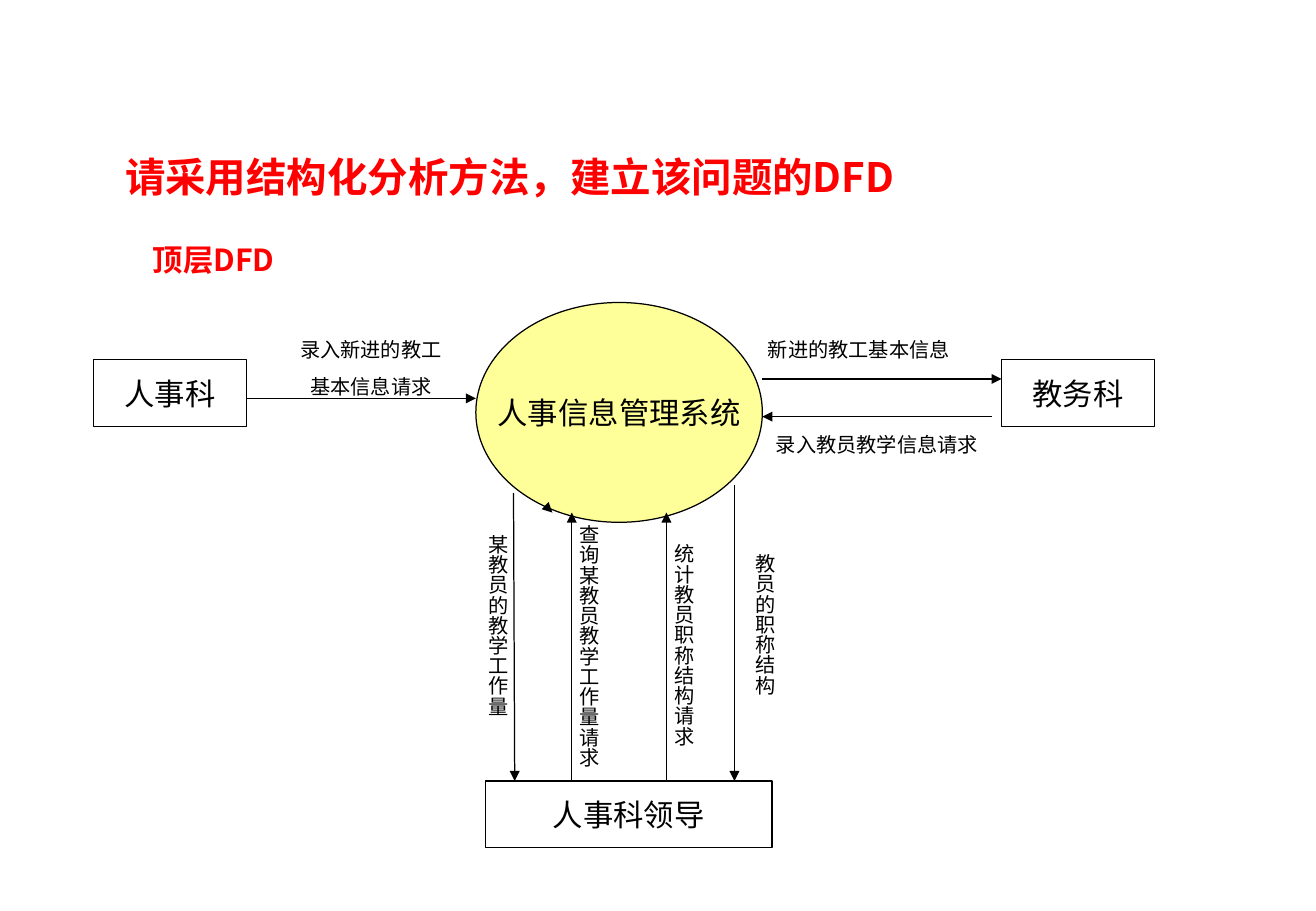
"""Build the slide with the top-level data flow diagram of a personnel system."""
from dataclasses import dataclass

from lxml.etree import SubElement
from pptx import Presentation
from pptx.dml.color import RGBColor
from pptx.enum.shapes import MSO_CONNECTOR, MSO_SHAPE
from pptx.enum.text import MSO_ANCHOR, MSO_AUTO_SIZE, PP_ALIGN
from pptx.oxml.ns import qn
from pptx.util import Emu, Pt

EMU_PER_PX = 9144


@dataclass(frozen=True)
class Theme:
    font: str = "Noto Sans CJK SC"
    heading: RGBColor = RGBColor(0xFF, 0x00, 0x00)
    ink: RGBColor = RGBColor(0x00, 0x00, 0x00)
    entity: RGBColor = RGBColor(0xFF, 0xFF, 0xFF)
    process: RGBColor = RGBColor(0xFF, 0xFF, 0x99)
    title_size: int = 24
    node_size: int = 18
    label_size: int = 12
    paragraph_gap: float = 7.5
    line_width: float = 0.75


THEME = Theme()


@dataclass(frozen=True)
class Box:
    left: int
    top: int
    width: int
    height: int

    def emu(self) -> tuple[Emu, Emu, Emu, Emu]:
        return px(self.left), px(self.top), px(self.width), px(self.height)


@dataclass(frozen=True)
class Node:
    text: str
    box: Box
    kind: MSO_SHAPE = MSO_SHAPE.RECTANGLE
    fill: RGBColor = THEME.entity


@dataclass(frozen=True)
class Flow:
    start: tuple[int, int]
    end: tuple[int, int]


@dataclass(frozen=True)
class Label:
    lines: tuple[str, ...]
    box: Box
    vertical: bool = False


TITLE = "请采用结构化分析方法，建立该问题的DFD"
TITLE_BOX = Box(93, 62, 969, 109)
LEVEL = "顶层DFD"
LEVEL_BOX = Box(116, 194, 126, 70)

NODES = (
    Node("人事信息管理系统", Box(392, 249, 236, 181), MSO_SHAPE.OVAL, THEME.process),
    Node("人事科", Box(77, 296, 126, 55)),
    Node("教务科", Box(825, 296, 126, 55)),
    Node("人事科领导", Box(400, 643, 236, 55)),
)

FLOWS = (
    Flow((423, 406), (424, 643)),
    Flow((454, 421), (455, 422)),
    Flow((605, 399), (605, 643)),
    Flow((471, 643), (471, 422)),
    Flow((549, 643), (549, 422)),
    Flow((203, 328), (392, 328)),
    Flow((628, 312), (825, 312)),
    Flow((817, 343), (628, 343)),
)

LABELS = (
    Label(("录入新进的教工", "基本信息请求"), Box(203, 273, 205, 61)),
    Label(("新进的教工基本信息",), Box(605, 273, 205, 30)),
    Label(("录入教员教学信息请求",), Box(620, 351, 205, 30)),
    Label(("某教员的教学工作量",), Box(385, 430, 40, 181), True),
    Label(("查询某教员教学工作量请求",), Box(460, 422, 40, 221), True),
    Label(("统计教员职称结构请求",), Box(538, 438, 40, 189), True),
    Label(("教员的职称结构",), Box(605, 446, 40, 142), True),
)


def px(length: int) -> Emu:
    """Turn px into EMU."""
    return Emu(length * EMU_PER_PX)


def add_text(paragraph, text: str, size: int, color: RGBColor, bold: bool = False) -> None:
    """Add one formatted run to a paragraph."""
    run = paragraph.add_run()
    run.text = text
    font = run.font
    font.size, font.bold, font.name = Pt(size), bold, THEME.font
    font.color.rgb = color
    SubElement(font._element, qn("a:ea"), typeface=THEME.font)


def set_insets(frame, horizontal: int, vertical: int) -> None:
    """Set the inner margins of a text frame."""
    frame.margin_left = frame.margin_right = px(horizontal)
    frame.margin_top = frame.margin_bottom = px(vertical)


def add_title(slide) -> None:
    """Fill and place the title placeholder."""
    title = slide.shapes.title
    title.left, title.top, title.width, title.height = TITLE_BOX.emu()
    frame = title.text_frame
    frame.auto_size = MSO_AUTO_SIZE.NONE
    frame.vertical_anchor = MSO_ANCHOR.BOTTOM
    set_insets(frame, 10, 5)
    paragraph = frame.paragraphs[0]
    paragraph.alignment = PP_ALIGN.LEFT
    paragraph.line_spacing = 0.9
    add_text(paragraph, TITLE, THEME.title_size, THEME.heading, True)


def add_level(slide) -> None:
    """Add the heading that names the diagram level."""
    frame = slide.shapes.add_textbox(*LEVEL_BOX.emu()).text_frame
    frame.word_wrap = True
    add_text(frame.paragraphs[0], LEVEL, THEME.node_size, THEME.heading, True)


def add_node(slide, node: Node) -> None:
    """Draw a process or an external entity."""
    shape = slide.shapes.add_shape(node.kind, *node.box.emu())
    shape.shadow.inherit = False
    shape.fill.solid()
    shape.fill.fore_color.rgb = node.fill
    shape.line.color.rgb = THEME.ink
    shape.line.width = Pt(THEME.line_width)
    frame = shape.text_frame
    frame.word_wrap = False
    frame.vertical_anchor = MSO_ANCHOR.MIDDLE
    paragraph = frame.paragraphs[0]
    paragraph.alignment = PP_ALIGN.CENTER
    add_text(paragraph, node.text, THEME.node_size, THEME.ink)


def add_flow(slide, flow: Flow) -> None:
    """Draw a data flow arrow."""
    ends = (px(value) for value in flow.start + flow.end)
    connector = slide.shapes.add_connector(MSO_CONNECTOR.STRAIGHT, *ends)
    connector.line.color.rgb = THEME.ink
    connector.line.width = Pt(THEME.line_width)
    properties = connector._element.spPr
    SubElement(properties.find(qn("a:ln")), qn("a:tailEnd"), type="triangle")
    SubElement(properties, qn("a:effectLst"))


def add_label(slide, label: Label) -> None:
    """Write the name of a data flow."""
    frame = slide.shapes.add_textbox(*label.box.emu()).text_frame
    frame.word_wrap = True
    if label.vertical:
        frame._txBody.bodyPr.set("vert", "eaVert")
        set_insets(frame, 5, 10)
    for index, line in enumerate(label.lines):
        paragraph = frame.add_paragraph() if index else frame.paragraphs[0]
        paragraph.alignment = PP_ALIGN.CENTER
        if index:
            paragraph.space_before = Pt(THEME.paragraph_gap)
        add_text(paragraph, line, THEME.label_size, THEME.ink)


def main() -> None:
    """Build and save the presentation."""
    presentation = Presentation()
    presentation.slide_width, presentation.slide_height = px(1084), px(750)
    slide = presentation.slides.add_slide(presentation.slide_layouts[5])
    add_title(slide)
    add_level(slide)
    for node in NODES:
        add_node(slide, node)
    for flow in FLOWS:
        add_flow(slide, flow)
    for label in LABELS:
        add_label(slide, label)
    presentation.save("out.pptx")


if __name__ == "__main__":
    main()
